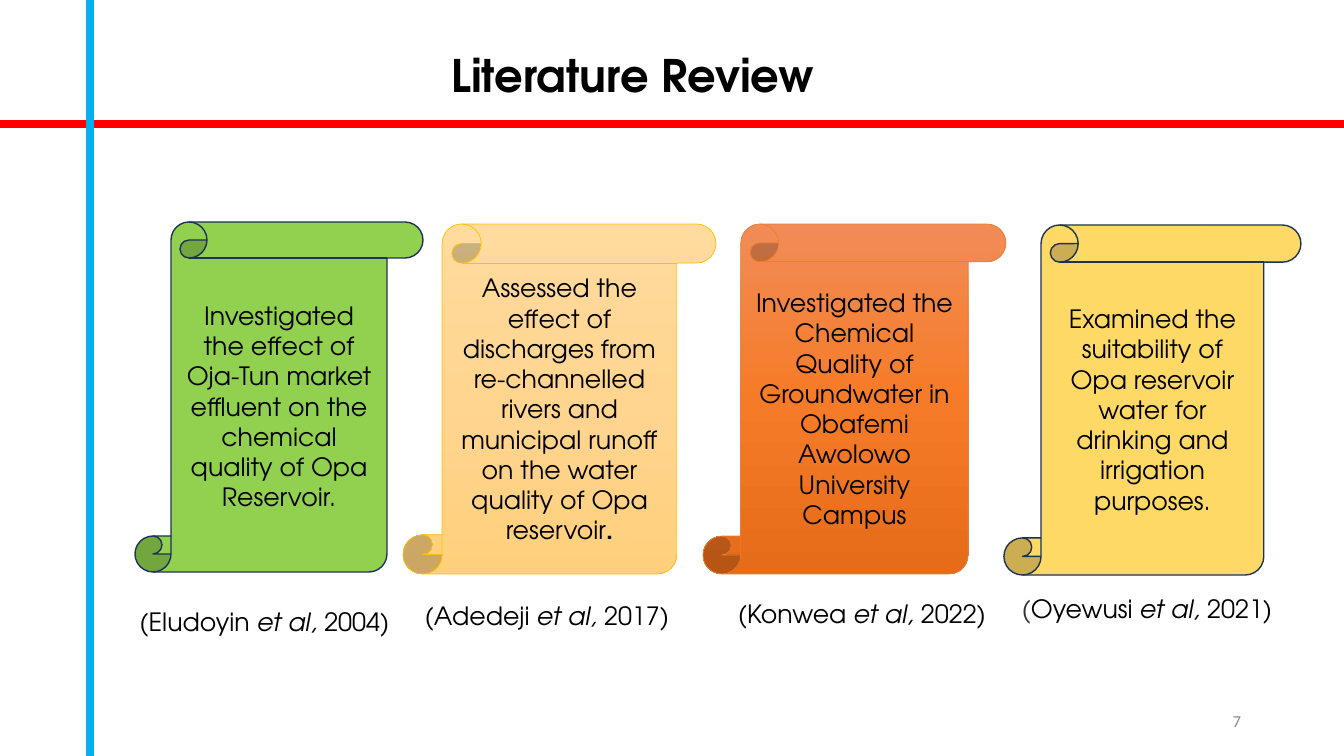
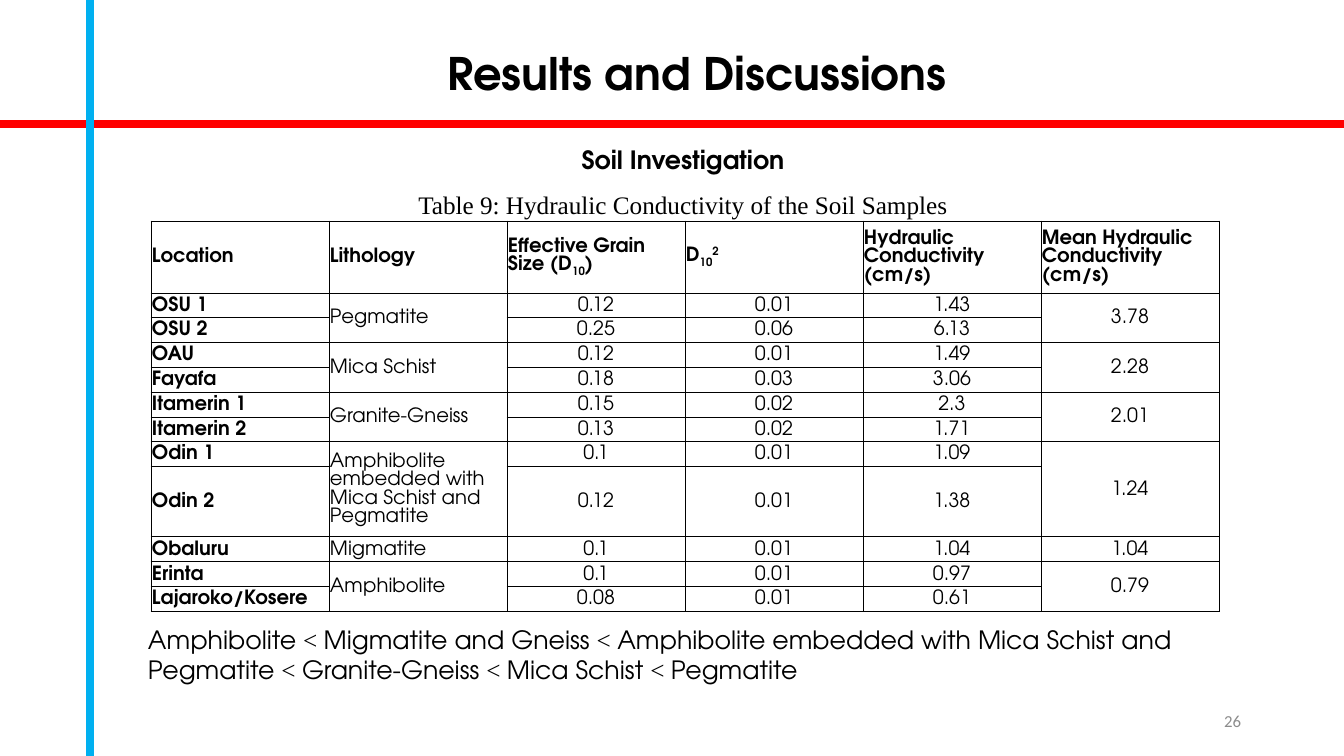
from copy import deepcopy
from dataclasses import dataclass

from lxml.etree import SubElement as Sub
from pptx import Presentation
from pptx.dml.color import RGBColor as RGB
from pptx.enum.shapes import MSO_CONNECTOR as Link, MSO_SHAPE as Shape
from pptx.enum.text import MSO_ANCHOR as Anchor, PP_ALIGN as Align
from pptx.oxml.ns import qn
from pptx.util import Pt

PX = 914400 / 100.8  # EMU in one px


@dataclass(frozen=True)
class Theme:
    white: str = "FFFFFF"
    black: str = "000000"
    dark: str = "333333"
    grey: str = "8C8C8C"
    red: str = "FF0000"
    blue: str = "00B0F0"
    navy: str = "1E3256"
    main: str = "TeX Gyre Adventor"
    serif: str = "Times New Roman"
    plain: str = "Calibri"
    head: int = 32
    body: int = 18
    cell: int = 14
    foot: int = 12


T = Theme()


def write(para, runs, size=T.body, color=T.black, face=T.main, bold=False,
          align=Align.CENTER, lead=None):
    """Fill a paragraph; a run is text, or text with a mark."""
    para.alignment = align
    para.line_spacing = lead
    font = para.font
    font.size, font.name, font.bold = Pt(size), face, bold
    font.color.rgb = RGB.from_string(color)
    for item in runs:
        words, mark = (item, "") if isinstance(item, str) else item
        run = para.add_run()
        run.text = words
        if mark == "bold":
            run.font.bold = True
        elif mark == "italic":
            run.font.italic = True
        elif mark == "serif":
            run.font.name = T.serif
        elif mark == "dark":
            run.font.color.rgb = RGB.from_string(T.dark)
        elif mark in ("sub", "sup"):
            shift = "-25000" if mark == "sub" else "30000"
            run._r.get_or_add_rPr().set("baseline", shift)


def box(slide, x, y, w, h, anchor=Anchor.TOP):
    """Add a wrapping text box and return its text frame."""
    area = [round(n * PX) for n in (x, y, w, h)]
    frame = slide.shapes.add_textbox(*area).text_frame
    frame.word_wrap = True
    frame.vertical_anchor = anchor
    return frame


deck = Presentation()
deck.slide_width, deck.slide_height = round(1344 * PX), round(756 * PX)
review, results = [deck.slides.add_slide(deck.slide_layouts[6])
                   for _ in range(2)]

# White panel behind the scrolls
area = [round(n * PX) for n in (90, 140, 1196, 601)]
panel = review.shapes.add_shape(Shape.RECTANGLE, *area)
panel.shadow.inherit = False
panel.fill.solid()
panel.fill.fore_color.rgb = RGB.from_string(T.white)
panel.line.fill.background()

# Shared frame: title, cross lines, page number
for slide, title, left, top, page in [
        (review, "Literature Review", 129, 39, "7"),
        (results, "Results and Discussions", 193, 37, "26")]:
    frame = box(slide, left, top, 1008, 68, Anchor.BOTTOM)
    write(frame.paragraphs[0], [title], T.head, bold=True, lead=0.9)
    for x1, y1, x2, y2, color in [(0, 124, 1344, 124, T.red),
                                  (90, 0, 90, 756, T.blue)]:
        ends = [round(n * PX) for n in (x1, y1, x2, y2)]
        line = slide.shapes.add_connector(Link.STRAIGHT, *ends)
        line.line.color.rgb = RGB.from_string(color)
        line.line.width = Pt(5.5)
        Sub(line._element.spPr, qn("a:effectLst"))
    frame = box(slide, 949, 701, 302, 40, Anchor.MIDDLE)
    write(frame.paragraphs[0], [page], T.foot, T.grey, T.plain,
          align=Align.RIGHT)

# Scrolls: left, top, width, fill colours, edge colour, edge width, text
scrolls = [
    (135, 222, 288, ["92D050"], T.navy, 1,
     ["Investigated the effect of Oja-Tun market effluent on the chemical "
      "quality of Opa Reservoir."]),
    (403, 224, 313, ["FFDB9E", "FFD590", "FFD07C"], "FFC000", 0.5,
     ["Assessed the effect of discharges from re-channelled rivers and "
      "municipal runoff on the water quality of Opa reservoir",
      (".", "bold")]),
    (703, 224, 303, ["F18C57", "F67B28", "E56C19"], "ED7D31", 0.5,
     ["Investigated the Chemical Quality of Groundwater in Obafemi Awolowo "
      "University Campus"]),
    (1004, 225, 297, ["FFD966"], T.navy, 1,
     ["Examined the suitability of Opa reservoir water for drinking and "
      "irrigation purposes."]),
]
for x, y, w, fills, edge, width, runs in scrolls:
    area = [round(n * PX) for n in (x, y, w, 350)]
    scroll = review.shapes.add_shape(Shape.VERTICAL_SCROLL, *area)
    scroll.shadow.inherit = False
    scroll.line.color.rgb = RGB.from_string(edge)
    scroll.line.width = Pt(width)
    if len(fills) == 1:
        scroll.fill.solid()
        scroll.fill.fore_color.rgb = RGB.from_string(fills[0])
    else:
        scroll.fill.gradient()
        scroll.fill.gradient_angle = 270
        stops = scroll._element.spPr.find(".//" + qn("a:gsLst"))
        stops.append(deepcopy(stops[-1]))
        for i, stop in enumerate(scroll.fill.gradient_stops):
            stop.position = i / 2
            stop.color.rgb = RGB.from_string(fills[i])
    scroll.text_frame.vertical_anchor = Anchor.MIDDLE
    write(scroll.text_frame.paragraphs[0], runs)

# Sources: left, bottom, width, name, year, mark of the bracket
for x, base, w, name, year, mark in [
        (121, 642, 287, "Eludoyin", 2004, ""),
        (391, 636, 312, "Adedeji", 2017, ""),
        (706, 634, 312, "Konwea", 2022, ""),
        (991, 629, 312, "Oyewusi", 2021, "dark")]:
    frame = box(review, x, base - 68, w, 68, Anchor.BOTTOM)
    write(frame.paragraphs[0],
          [("(", mark), f"{name} ", ("et al,", "italic"), f" {year})"],
          lead=0.9)

# Table heading
frame = box(results, 112, 139, 1142, 82)
write(frame.paragraphs[0], ["Soil Investigation"], bold=True)
label = frame.add_paragraph()
label.space_before = Pt(10.5)
write(label, ["Table 9: Hydraulic Conductivity of the Soil Samples"],
      face=T.serif)

# Table: None continues the cell above
heads = [["Location"], ["Lithology"],
         ["Effective Grain Size (D", ("10", "sub"), ")"],
         ["D", ("10", "sub"), ("2", "sup")],
         ["Hydraulic Conductivity (cm/s)"],
         ["Mean Hydraulic Conductivity (cm/s)"]]
data = [
    ("OSU 1", "Pegmatite", "0.12", "0.01", "1.43", "3.78"),
    ("OSU 2", None, "0.25", "0.06", "6.13", None),
    ("OAU", "Mica Schist", "0.12", "0.01", "1.49", "2.28"),
    ("Fayafa", None, "0.18", "0.03", "3.06", None),
    ("Itamerin 1", "Granite-Gneiss", "0.15", "0.02", "2.3", "2.01"),
    ("Itamerin 2", None, "0.13", "0.02", "1.71", None),
    ("Odin 1", "Amphibolite embedded with Mica Schist and Pegmatite",
     "0.1", "0.01", "1.09", "1.24"),
    ("Odin 2", None, "0.12", "0.01", "1.38", None),
    ("Obaluru", "Migmatite", "0.1", "0.01", "1.04", "1.04"),
    ("Erinta", "Amphibolite", "0.1", "0.01", "0.97", "0.79"),
    ("Lajaroko/Kosere", None, "0.08", "0.01", "0.61", None),
]
rows = [heads] + [[[v] if v else [] for v in row] for row in data]
highs = [72, 24, 25, 24, 25, 25, 24, 25, 70, 25, 25, 24]
area = [round(n * PX) for n in (151, 221, 6 * 178, sum(highs))]
grid = results.shapes.add_table(len(rows), 6, *area).table
grid.first_row = grid.horz_banding = False
for col in grid.columns:
    col.width = round(178 * PX)
for r, row in enumerate(rows):
    grid.rows[r].height = round(highs[r] * PX)
    for c, runs in enumerate(row):
        cell = grid.cell(r, c)
        cell.margin_left = cell.margin_top = cell.margin_right = round(PX)
        cell.margin_bottom = 0
        cell.vertical_anchor = Anchor.MIDDLE
        props = cell._tc.get_or_add_tcPr()
        for side in "LRTB":
            edge = Sub(props, qn(f"a:ln{side}"), w=str(Pt(0.5)))
            paint = Sub(edge, qn("a:solidFill"))
            Sub(paint, qn("a:srgbClr"), val=T.black)
        cell.fill.background()
        left = r == 0 or c < 2
        write(cell.text_frame.paragraphs[0], runs, T.cell,
              bold=r == 0 or c == 0,
              align=Align.LEFT if left else Align.CENTER)
        if not runs:
            grid.cell(r - 1, c).merge(cell)

# Ranking under the table
ranks = ["Amphibolite", "Migmatite and Gneiss",
         "Amphibolite embedded with Mica Schist and Pegmatite",
         "Granite-Gneiss", "Mica Schist", "Pegmatite"]
runs = [ranks[0]]
for rank in ranks[1:]:
    runs += [" ", ("< ", "serif"), rank]
frame = box(results, 138, 619, 1096, 72)
write(frame.paragraphs[0], runs, align=Align.LEFT)

deck.save("out.pptx")
